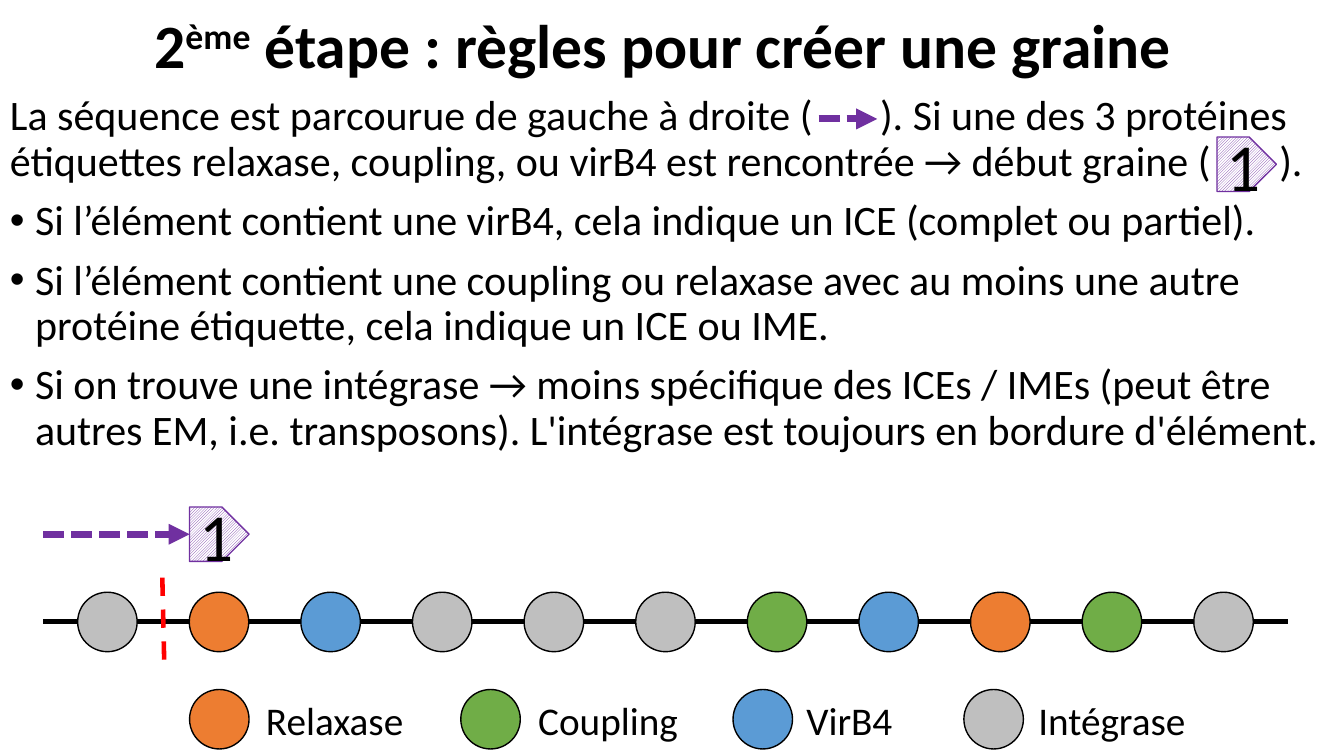
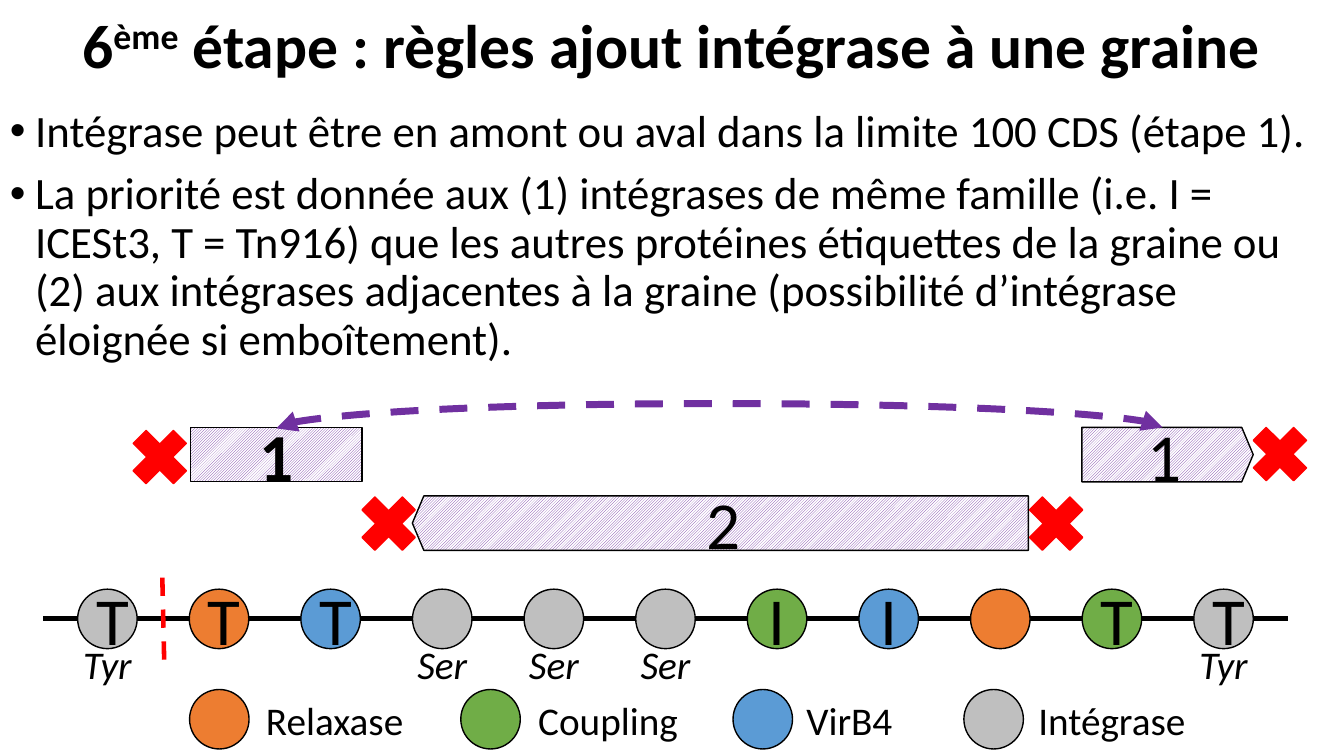
"""Build two slides on the rules for creating a seed and adding an integrase to it."""
from lxml.etree import SubElement
from pptx import Presentation
from pptx.dml.color import RGBColor
from pptx.enum.dml import MSO_LINE as DASH, MSO_PATTERN as PATTERN
from pptx.enum.shapes import MSO_CONNECTOR as LINK, MSO_SHAPE as FORM
from pptx.enum.text import MSO_ANCHOR as ANCHOR, PP_ALIGN as ALIGN
from pptx.oxml.ns import qn
from pptx.util import Inches, Pt

FONT = "Calibri"
BLACK, WHITE, RED, PURPLE = "000000", "FFFFFF", "FF0000", "7030A0"
ORANGE, GREEN, BLUE, GREY = "ED7D31", "70AD47", "5B9BD5", "BFBFBF"
DIAMETER = 0.59
PLATE_HEIGHT = 0.54
colour = RGBColor.from_string


def add_item(slide, form, box, text="", fill=None, outline=BLACK, size=48, bold=False, italic=False,
             align=ALIGN.CENTER):
    """Add a preset shape, hatched unless it has a fill, or a text box if form is None."""
    box = [Inches(length) for length in box]
    if form is None:
        item = slide.shapes.add_textbox(*box)
    else:
        item = slide.shapes.add_shape(form, *box)
        item.shadow.inherit = False
        item.line.color.rgb = colour(outline)
        item.line.width = Pt(1)
        if fill:
            item.fill.solid()
            item.fill.fore_color.rgb = colour(fill)
        else:
            item.fill.patterned()
            item.fill.pattern = PATTERN.DARK_UPWARD_DIAGONAL
            item.fill.fore_color.rgb = colour(PURPLE)
            item.fill.back_color.rgb = colour(WHITE)
    frame = item.text_frame
    frame.word_wrap = True
    if text:
        frame.text = text
    for paragraph in frame.paragraphs:
        paragraph.alignment = align
        if form is None:
            paragraph.line_spacing = 0.9
        font = paragraph.font
        font.name, font.size, font.bold, font.italic = FONT, Pt(size), bold, italic
        font.color.rgb = colour(BLACK)
    return item


def add_line(slide, start, end, ink, width, dash=None, arrows=(), link=LINK.STRAIGHT):
    """Add a connector; arrows names the ends that carry a triangle."""
    line = slide.shapes.add_connector(link, *[Inches(length) for length in start + end])
    line.line.color.rgb = colour(ink)
    line.line.width = Pt(width)
    if dash:
        line.line.dash_style = dash
    for arrow in arrows:
        SubElement(line.line._get_or_add_ln(), qn(f"a:{arrow}"), type="triangle")
    SubElement(line._element.spPr, qn("a:effectLst"))
    return line


deck = Presentation()
deck.slide_width, deck.slide_height = Inches(13.33), Inches(7.5)

sequence = [GREY, ORANGE, BLUE, GREY, GREY, GREY, GREEN, BLUE, ORANGE, GREEN, GREY]
first_left, last_left = 0.77, 11.84
step = (last_left - first_left) / (len(sequence) - 1)
protein_lefts = [first_left + step * index for index in range(len(sequence))]
legend = [
    ("Relaxase", ORANGE, 1.88, 2.54),
    ("Coupling", GREEN, 4.57, 5.24),
    ("VirB4", BLUE, 7.27, 7.9),
    ("Intégrase", GREY, 9.56, 10.2),
]
steps = [
    {
        "title": ("2", " étape : règles pour créer une graine"),
        "title_box": (0.83, 0, 11.5, 0.96),
        "rules_box": (0, 0.89, 13.33, 4.02),
        "rules_size": 30,
        "intro": "La séquence est parcourue de gauche à droite (\t). Si une des 3 protéines étiquettes "
                 "relaxase, coupling, ou virB4 est rencontrée → début graine (\t).",
        "rules": [
            "Si l’élément contient une virB4, cela indique un ICE (complet ou partiel).",
            "Si l’élément contient une coupling ou relaxase avec au moins une autre protéine étiquette, "
            "cela indique un ICE ou IME.",
            "Si on trouve une intégrase → moins spécifique des ICEs / IMEs (peut être autres EM, i.e. "
            "transposons). L'intégrase est toujours en bordure d'élément.",
        ],
        "axis": 6.17,
        "letters": [""] * len(sequence),
    },
    {
        "title": ("6", " étape : règles ajout intégrase à une graine"),
        "title_box": (0, 0, 13.33, 0.96),
        "rules_box": (0, 1.03, 13.33, 2.79),
        "rules_size": 32,
        "intro": "",
        "rules": [
            "Intégrase peut être en amont ou aval dans la limite 100 CDS (étape 1).",
            "La priorité est donnée aux (1) intégrases de même famille (i.e. I = ICESt3, T = Tn916) que "
            "les autres protéines étiquettes de la graine ou (2) aux intégrases adjacentes à la graine "
            "(possibilité d’intégrase éloignée si emboîtement).",
        ],
        "axis": 6.14,
        "letters": ["T", "T", "T", "", "", "", "I", "I", "", "T", "T"],
    },
]

slides = []
for content in steps:
    slide = deck.slides.add_slide(deck.slide_layouts[6])
    slides.append(slide)

    number, wording = content["title"]
    title = add_item(slide, None, content["title_box"], number, size=44, bold=True)
    title.text_frame.vertical_anchor = ANCHOR.MIDDLE
    heading = title.text_frame.paragraphs[0]
    ordinal = heading.add_run()
    ordinal.text = "ème"
    ordinal._r.get_or_add_rPr().set("baseline", "30000")
    heading.add_run().text = wording

    intro = [content["intro"]] if content["intro"] else []
    rules = add_item(slide, None, content["rules_box"], "\n".join(intro + content["rules"]),
                     size=content["rules_size"], align=ALIGN.LEFT)
    for index, paragraph in enumerate(rules.text_frame.paragraphs):
        if index:
            paragraph.space_before = Pt(10)
        properties = paragraph._p.get_or_add_pPr()
        defaults = properties.find(qn("a:defRPr"))
        if index < len(intro):
            stops = SubElement(properties, qn("a:tabLst"))
            for position in (8.63, 12.59):
                SubElement(stops, qn("a:tab"), pos=str(Inches(position)), algn="l")
            defaults.addprevious(stops)
        else:
            properties.set("marL", str(Inches(0.25)))
            properties.set("indent", str(Inches(-0.25)))
            defaults.addprevious(SubElement(properties, qn("a:buFont"), typeface="Arial"))
            defaults.addprevious(SubElement(properties, qn("a:buChar"), char="•"))

    axis = content["axis"]
    add_line(slide, (0.43, axis), (12.77, axis), BLACK, 3.5)
    for left, fill, letter in zip(protein_lefts, sequence, content["letters"]):
        add_item(slide, FORM.OVAL, (left, axis - DIAMETER / 2, DIAMETER, DIAMETER), letter, fill)
    for name, fill, left, name_left in legend:
        add_item(slide, FORM.OVAL, (left, 6.84, DIAMETER, DIAMETER), fill=fill)
        add_item(slide, None, (name_left, 6.91, 1.86, 0.59), name, size=28, align=ALIGN.LEFT)
    add_line(slide, (1.61, 5.73), (1.63, 6.62), RED, 3.25, DASH.DASH)

seed_slide, integrase_slide = slides

for left, top, arrow_left, arrow_right, joined in [(1.88, 5.03, 0.43, 1.88, True),
                                                   (12.07, 1.36, 8.12, 8.7, False)]:
    seed = add_item(seed_slide, FORM.PENTAGON, (left, top, DIAMETER, PLATE_HEIGHT), "1", outline=PURPLE)
    arrow_top = top + PLATE_HEIGHT / 2 if joined else 1.18
    reading = add_line(seed_slide, (arrow_left, arrow_top), (arrow_right, arrow_top), PURPLE, 5,
                       DASH.SQUARE_DOT, ["tailEnd"])
    if joined:
        reading.end_connect(seed, 1)

upstream = add_item(integrase_slide, FORM.RECTANGLE, (1.89, 4.24, 1.7, PLATE_HEIGHT), "1", bold=True)
adjacent = add_item(integrase_slide, FORM.PENTAGON, (4.09, 4.92, 6.11, PLATE_HEIGHT), "2")
downstream = add_item(integrase_slide, FORM.PENTAGON, (10.73, 4.24, 1.7, PLATE_HEIGHT), "1")
adjacent._element.spPr.find(qn("a:xfrm")).set("flipH", "1")
for plate in (adjacent, downstream):
    plate.adjustments[0] = 0.21

same_family = add_line(integrase_slide, (2.73, 4.24), (11.53, 4.24), PURPLE, 5, DASH.DASH,
                       ["headEnd", "tailEnd"], LINK.CURVE)
same_family.begin_connect(upstream, 0)
same_family.end_connect(downstream, 0)
same_family.left, same_family.top = Inches(7.13), Inches(-0.15)
same_family.width, same_family.height = Inches(0.01), Inches(8.79)
turn = same_family._element.spPr.find(qn("a:xfrm"))
for key, value in (("rot", "5400000"), ("flipH", "1"), ("flipV", "1")):
    turn.set(key, value)
bends = same_family._element.spPr.find(qn("a:prstGeom")).find(qn("a:avLst"))
SubElement(bends, qn("a:gd"), name="adj1", fmla="val 2500000")

for index, family in {0: "Tyr", 3: "Ser", 4: "Ser", 5: "Ser", 10: "Tyr"}.items():
    center = protein_lefts[index] + DIAMETER / 2
    add_item(integrase_slide, None, (center - 0.4, 6.36, 0.8, 0.62), family, size=28, italic=True)
for left, top in [(1.2, 4.15), (3.47, 4.81), (12.31, 4.12), (10.09, 4.81)]:
    add_item(integrase_slide, FORM.MATH_MULTIPLY, (left, top, 0.77, 0.77), fill=RED, outline=RED)

deck.save("out.pptx")
